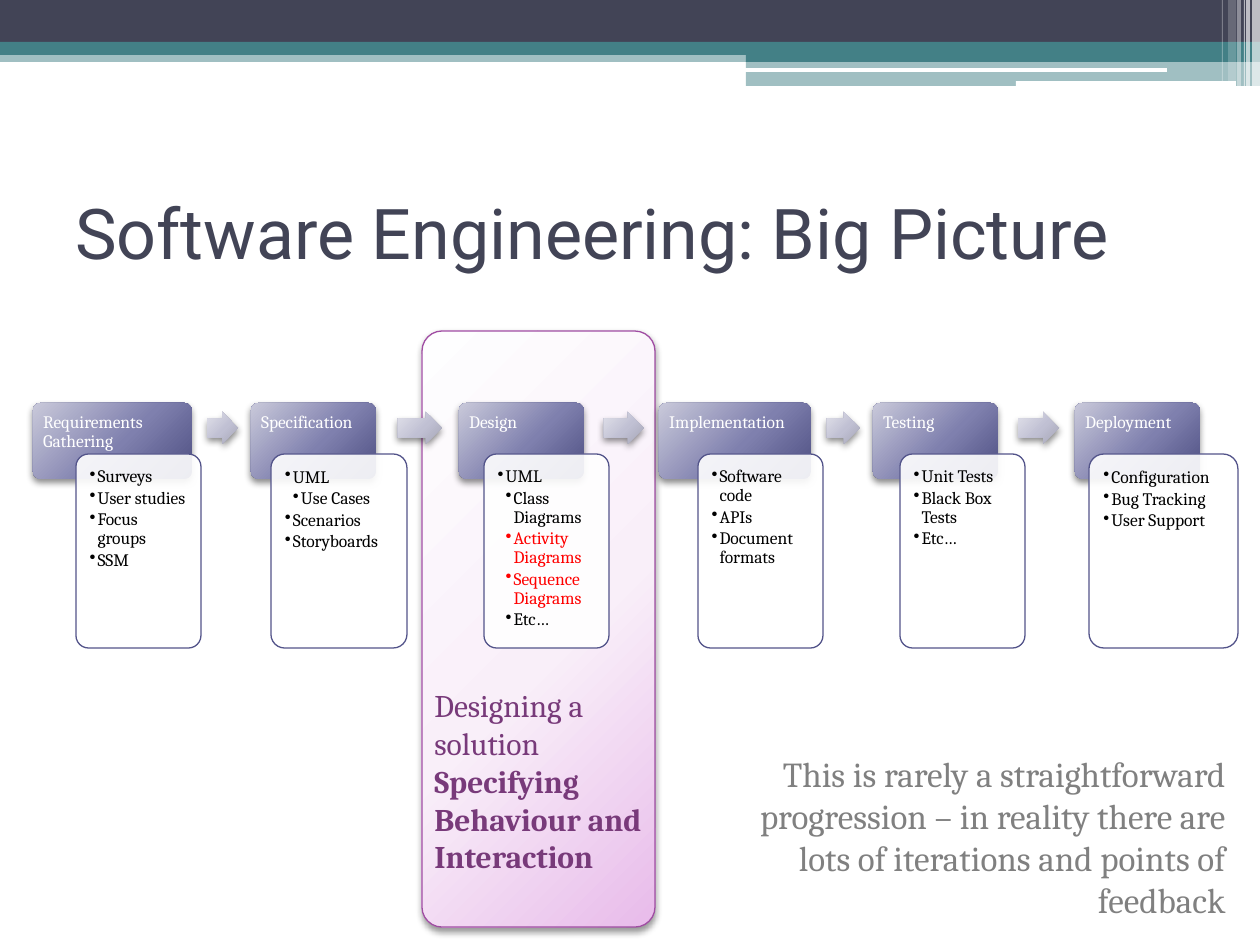
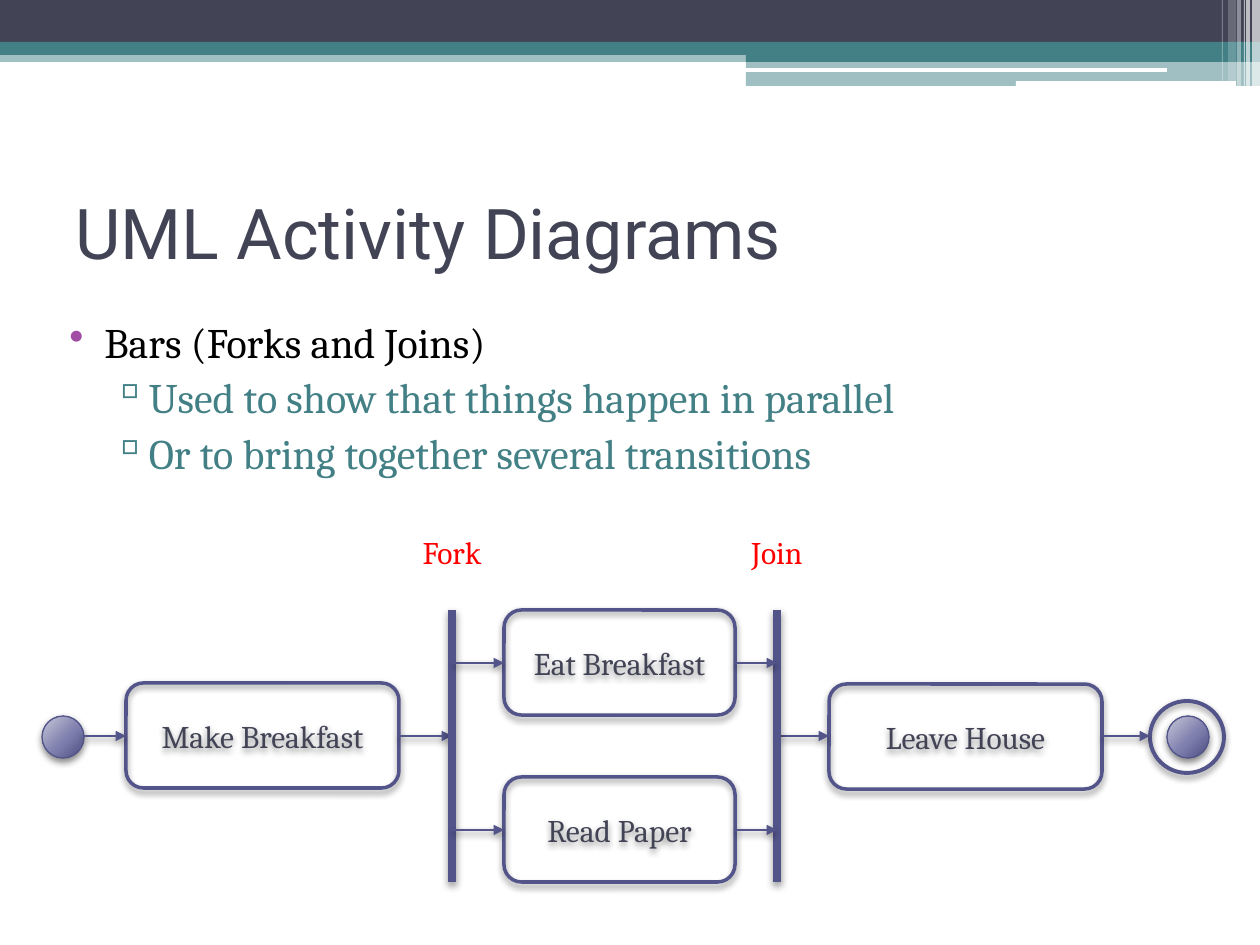
from lxml.etree import SubElement
from pptx import Presentation
from pptx.dml.color import RGBColor
from pptx.enum.shapes import MSO_CONNECTOR, MSO_SHAPE
from pptx.enum.text import MSO_ANCHOR, PP_ALIGN
from pptx.oxml.ns import qn
from pptx.util import Emu, Pt

EMU_PER_PX = 914400 / 126
SLIDE_W, SLIDE_H = 1260, 945
BODY_FONT, TITLE_FONT = "Cambria", "Roboto"
COLORS = {
    "ink": "424456", "teal": "438086", "white": "FFFFFF", "black": "000000",
    "indigo": "53548A", "violet": "A04DA3", "plum": "783A7A",
    "red": "FF0000", "gray": "808080",
}
GRADIENTS = {
    "stage": ("C9C9DA", "7F80AE", "4D4E81"),
    "arrow": ("E1E1EA", "C0C0D3", "A7A7B7"),
    "focus": ("FEFEFF", "F9EFF9", "E8BBEA"),
}
BANDS = [
    (0, 50, 1260, 12, "teal", 50),
    (0, 0, 1260, 43, "ink", 100),
    (0, 42, 1260, 13, "teal", 100),
    (746, 49, 514, 13, "teal", 100),
    (746, 61, 514, 25, "teal", 50),
    (745, 68, 422, 4, "white", 100),
    (1016, 81, 220, 5, "white", 100),
    (1252, 0, 8, 86, "white", 65),
    (1246, 0, 4, 86, "white", 65),
    (1244, 0, 1, 86, "white", 60),
    (1237, 0, 4, 86, "white", 40),
    (1228, 0, 8, 81, "white", 20),
    (1222, 0, 1, 81, "white", 30),
]
STAGES = [
    ("Requirements Gathering", 33, 159, 76, 125,
     [("Surveys", 1), ("User studies", 1), ("Focus groups", 1), ("SSM", 1)]),
    ("Specification", 251, 125, 271, 136,
     [("UML", 1), ("Use Cases", 2), ("Scenarios", 1), ("Storyboards", 1)]),
    ("Design", 459, 125, 484, 125,
     [("UML", 1), ("Class Diagrams", 2), ("Activity Diagrams", 2),
      ("Sequence Diagrams", 2), ("Etc…", 2)]),
    ("Implementation", 659, 152, 698, 125,
     [("Software code", 1), ("APIs", 1), ("Document formats", 1)]),
    ("Testing", 873, 125, 900, 125,
     [("Unit Tests", 1), ("Black Box Tests", 1), ("Etc…", 1)]),
    ("Deployment", 1075, 125, 1089, 149,
     [("Configuration", 1), ("Bug Tracking", 1), ("User Support", 1)]),
]
HIGHLIGHTED = {"Activity Diagrams", "Sequence Diagrams"}


def px(*lengths):
    return [Emu(round(length * EMU_PER_PX)) for length in lengths]


def rgb(name):
    return RGBColor.from_string(COLORS[name])


def add_effects(element, shadow_alpha=0, blur=4):
    effects = SubElement(element.spPr, qn("a:effectLst"))
    if shadow_alpha:
        shadow = SubElement(effects, qn("a:outerShdw"), blurRad=str(Pt(blur)),
                            dist=str(Pt(2)), dir="5400000", algn="ctr", rotWithShape="0")
        color = SubElement(shadow, qn("a:srgbClr"), val=COLORS["black"])
        SubElement(color, qn("a:alpha"), val=str(shadow_alpha * 1000))


def fill_solid(shape, color, alpha=100):
    shape.fill.solid()
    shape.fill.fore_color.rgb = rgb(color)
    if alpha < 100:
        fill = shape._element.spPr.find(qn("a:solidFill"))
        SubElement(fill[0], qn("a:alpha"), val=str(alpha * 1000))


def fill_radial(shape, gradient):
    shape.fill.background()
    props = shape._element.spPr
    fill = SubElement(props, qn("a:gradFill"), rotWithShape="1")
    props.replace(props.find(qn("a:noFill")), fill)
    stops = SubElement(fill, qn("a:gsLst"))
    for position, color in zip((0, 55, 100), GRADIENTS[gradient]):
        stop = SubElement(stops, qn("a:gs"), pos=str(position * 1000))
        SubElement(stop, qn("a:srgbClr"), val=color)
    circle = SubElement(fill, qn("a:path"), path="circle")
    SubElement(circle, qn("a:fillToRect"), l="-40000", t="-90000", r="140000", b="190000")


def add_shape(slide, preset, box, fill=None, alpha=100, line=None, width=0.75,
              shadow=0, adjust=()):
    shape = slide.shapes.add_shape(preset, *px(*box))
    for index, value in enumerate(adjust):
        shape.adjustments[index] = value
    if fill in GRADIENTS:
        fill_radial(shape, fill)
    elif fill:
        fill_solid(shape, fill, alpha)
    else:
        shape.fill.background()
    if line:
        shape.line.color.rgb = rgb(line)
        shape.line.width = Pt(width)
    else:
        shape.line.fill.background()
    add_effects(shape._element, shadow)
    return shape


def write(shape, lines, size, color, font=BODY_FONT, align=PP_ALIGN.LEFT,
          anchor=MSO_ANCHOR.TOP, insets=None):
    frame = shape.text_frame
    frame.word_wrap = True
    frame.vertical_anchor = anchor
    if insets:
        (frame.margin_left, frame.margin_top,
         frame.margin_right, frame.margin_bottom) = px(*insets)
    frame.text = "\n".join(lines)
    for paragraph in frame.paragraphs:
        paragraph.alignment = align
        for run in paragraph.runs:
            run.font.size = Pt(size)
            run.font.name = font
            run.font.color.rgb = rgb(color)
    return frame.paragraphs


def add_text(slide, box, lines, size, color, **style):
    return write(slide.shapes.add_textbox(*px(*box)), lines, size, color, **style)


def set_bullet(paragraph, mark, margin, hang, color=None):
    props = paragraph._p.get_or_add_pPr()
    margin_emu, hang_emu = px(margin, -hang)
    props.set("marL", str(margin_emu))
    props.set("indent", str(hang_emu))
    if color:
        bullet_color = SubElement(props, qn("a:buClr"))
        SubElement(bullet_color, qn("a:srgbClr"), val=COLORS[color])
    SubElement(props, qn("a:buChar"), char=mark)


def add_line(slide, start, end, width=1.5, arrow=True):
    line = slide.shapes.add_connector(MSO_CONNECTOR.STRAIGHT, *px(*start, *end))
    line.line.color.rgb = rgb("indigo")
    line.line.width = Pt(width)
    if arrow:
        SubElement(line.line._get_or_add_ln(), qn("a:tailEnd"), type="triangle")
    add_effects(line._element, 40, 4.1)


def add_bands(slide):
    for *box, color, alpha in BANDS:
        add_shape(slide, MSO_SHAPE.RECTANGLE, box, color, alpha)


def add_title(slide, title):
    add_text(slide, (63, 158, 1134, 147), [title], 40, "ink",
             font=TITLE_FONT, anchor=MSO_ANCHOR.MIDDLE)


def add_stage(slide, name, head_x, head_w, card_x, card_w, items):
    head = add_shape(slide, MSO_SHAPE.ROUNDED_RECTANGLE, (head_x, 403, head_w, 76),
                     "stage", shadow=45, adjust=[0.1])
    heading = write(head, [name], 10, "white", insets=(8, 8, 8, 3))[0]
    heading.line_spacing = 0.9
    card = add_shape(slide, MSO_SHAPE.ROUNDED_RECTANGLE, (card_x, 454, card_w, 194),
                     "white", 90, line="indigo", adjust=[0.1])
    entries = write(card, [text for text, _ in items], 10, "black", insets=(10,) * 4)
    for entry, (text, level) in zip(entries, items):
        entry.line_spacing = 0.9
        entry.space_after = Pt(1.5)
        set_bullet(entry, "•", 8 * level, 8)
        if text in HIGHLIGHTED:
            entry.runs[0].font.color.rgb = rgb("red")


def add_stage_arrow(slide, left, right):
    gap = right - left
    box = (round(left + 0.26 * gap), 412, round(0.53 * gap), 32)
    add_shape(slide, MSO_SHAPE.RIGHT_ARROW, box, "arrow", shadow=45, adjust=[0.6, 0.5])


def add_activity(slide, name, x, y, width):
    activity = add_shape(slide, MSO_SHAPE.ROUNDED_RECTANGLE, (x, y, width, 105),
                         line="indigo", width=2, shadow=45)
    write(activity, [name], 18, "ink", align=PP_ALIGN.CENTER, anchor=MSO_ANCHOR.MIDDLE)


def add_state_dot(slide, x):
    add_shape(slide, MSO_SHAPE.OVAL, (x, 716, 42, 42), "stage", line="indigo", shadow=45)


def build_big_picture(slide):
    add_shape(slide, MSO_SHAPE.ROUNDED_RECTANGLE, (422, 331, 233, 596), "focus",
              line="violet", shadow=40, adjust=[0.086])
    add_title(slide, "Software Engineering: Big Picture")
    for index, stage in enumerate(STAGES):
        add_stage(slide, *stage)
        if index + 1 < len(STAGES):
            add_stage_arrow(slide, stage[1] + stage[2], STAGES[index + 1][1])
    add_text(slide, (709, 746, 529, 183),
             ["This is rarely a straightforward progression – in reality there are "
              "lots of iterations and points of feedback"],
             20, "gray", align=PP_ALIGN.RIGHT)
    focus = add_text(slide, (422, 680, 242, 242),
                     ["Designing a solution", "Specifying Behaviour and Interaction"],
                     18, "plum")
    focus[1].runs[0].font.bold = True


def build_activity_diagram(slide):
    add_title(slide, "UML Activity Diagrams")
    fork_x, join_x, middle_y = 452, 777, 736
    add_activity(slide, "Make Breakfast", 126, 683, 273)
    add_activity(slide, "Leave House", 829, 684, 273)
    add_state_dot(slide, 42)
    add_shape(slide, MSO_SHAPE.OVAL, (1150, 701, 74, 72), line="indigo",
              width=2.25, shadow=45)
    add_state_dot(slide, 1167)
    for start, end in ((84, 126), (399, fork_x), (join_x, 829), (1102, 1150)):
        add_line(slide, (start, middle_y), (end, middle_y))
    for label, bar_x in (("Fork", fork_x), ("Join", join_x)):
        add_line(slide, (bar_x, 610), (bar_x, 882), width=5, arrow=False)
        add_text(slide, (bar_x - 63, 527, 126, 50), [label], 18, "red",
                 align=PP_ALIGN.CENTER)
    for name, top in (("Eat Breakfast", 610), ("Read Paper", 777)):
        add_activity(slide, name, 504, top, 231)
        for start, end in ((fork_x, 504), (735, join_x)):
            add_line(slide, (start, top + 53), (end, top + 53))
    topic, *details = add_text(
        slide, (42, 310, 1207, 226),
        ["Bars (Forks and Joins)", "Used to show that things happen in parallel",
         "Or to bring together several transitions"], 24, "black")
    topic.space_before = Pt(3)
    set_bullet(topic, "•", 50, 35, "violet")
    for detail in details:
        detail.level = 1
        detail.space_before = Pt(3)
        detail.runs[0].font.color.rgb = rgb("teal")
        set_bullet(detail, "▫", 91, 34, "teal")


def main():
    deck = Presentation()
    deck.slide_width, deck.slide_height = px(SLIDE_W, SLIDE_H)
    for build in (build_big_picture, build_activity_diagram):
        slide = deck.slides.add_slide(deck.slide_layouts[6])
        add_bands(slide)
        build(slide)
    deck.save("out.pptx")


main()
